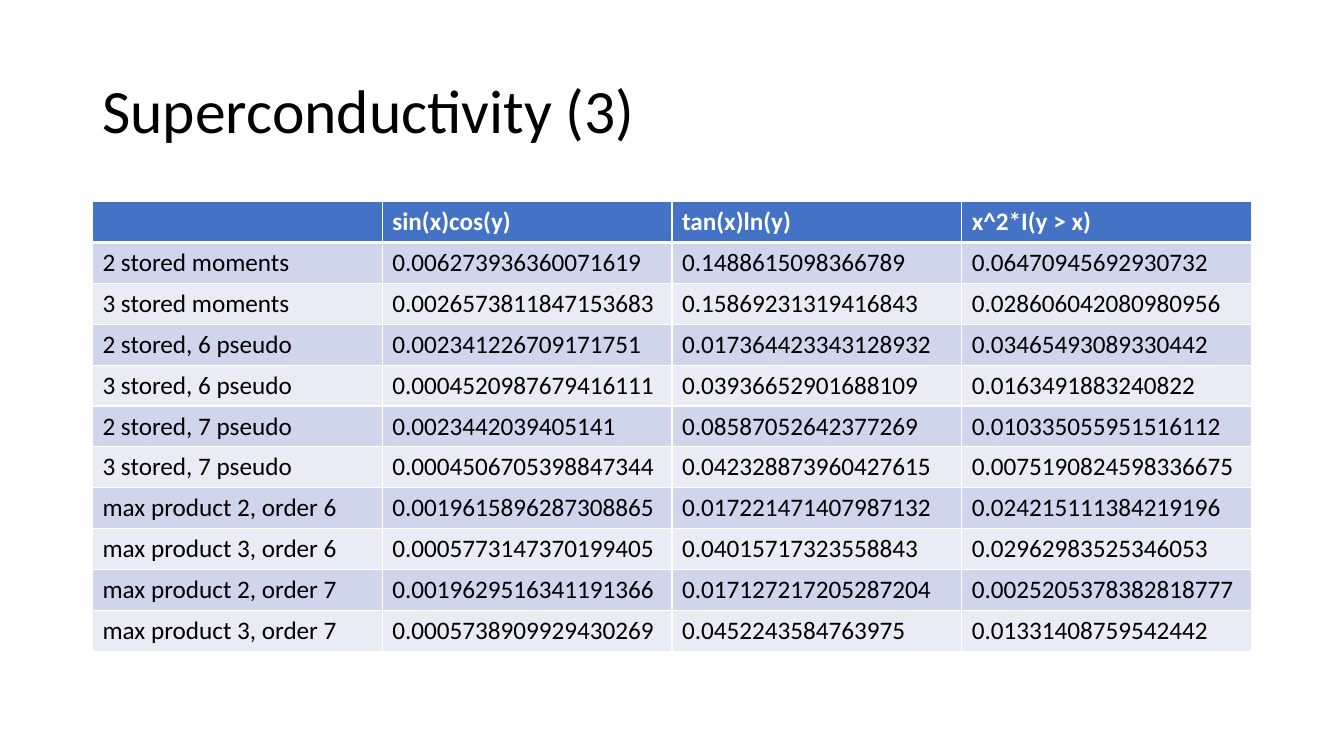
from pptx import Presentation
from pptx.dml.color import RGBColor
from pptx.enum.text import MSO_ANCHOR
from pptx.oxml import parse_xml
from pptx.oxml.ns import nsdecls
from pptx.util import Cm, Pt

COLORS = {
    "header": "4472C4",
    "odd": "CFD5EA",
    "even": "E9EBF5",
    "white": "FFFFFF",
    "black": "000000",
}
FONT = "Calibri"
ROWS = [
    ("", "sin(x)cos(y)", "tan(x)ln(y)", "x^2*I(y > x)"),
    ("2 stored moments", "0.006273936360071619", "0.1488615098366789", "0.06470945692930732"),
    ("3 stored moments", "0.0026573811847153683", "0.15869231319416843", "0.028606042080980956"),
    ("2 stored, 6 pseudo", "0.002341226709171751", "0.017364423343128932", "0.03465493089330442"),
    ("3 stored, 6 pseudo", "0.0004520987679416111", "0.03936652901688109", "0.0163491883240822"),
    ("2 stored, 7 pseudo", "0.0023442039405141", "0.08587052642377269", "0.010335055951516112"),
    ("3 stored, 7 pseudo", "0.0004506705398847344", "0.042328873960427615", "0.0075190824598336675"),
    ("max product 2, order 6", "0.0019615896287308865", "0.017221471407987132", "0.024215111384219196"),
    ("max product 3, order 6", "0.0005773147370199405", "0.04015717323558843", "0.02962983525346053"),
    ("max product 2, order 7", "0.0019629516341191366", "0.017127217205287204", "0.0025205378382818777"),
    ("max product 3, order 7", "0.0005738909929430269", "0.0452243584763975", "0.01331408759542442"),
]


def style_text(p, size, color, bold=False):
    for r in p.runs:
        r.font.name = FONT
        r.font.size = Pt(size)
        r.font.bold = bold
        r.font.color.rgb = RGBColor.from_string(COLORS[color])


def add_border(cell, side, width):
    cell._tc.get_or_add_tcPr().append(parse_xml(
        f'<a:ln{side} {nsdecls("a")} w="{Pt(width)}"><a:solidFill>'
        f'<a:srgbClr val="{COLORS["white"]}"/></a:solidFill></a:ln{side}>'
    ))


prs = Presentation()
prs.slide_width = Cm(33.87)
prs.slide_height = Cm(19.05)
s = prs.slides.add_slide(prs.slide_layouts[6])

title = s.shapes.add_textbox(Cm(2.33), Cm(1.01), Cm(29.21), Cm(3.68))
tf = title.text_frame
tf.word_wrap = True
tf.vertical_anchor = MSO_ANCHOR.MIDDLE
p = tf.paragraphs[0]
p.text = "Superconductivity (3)"
p.line_spacing = 0.9
style_text(p, 44, "black")

frame = s.shapes.add_table(len(ROWS), len(ROWS[0]), Cm(2.33), Cm(5.08), Cm(29.21), Cm(11.33))
table = frame.table
for row in table.rows:
    row.height = Cm(1.03)

for i, values in enumerate(ROWS):
    is_header = i == 0
    fill = "header" if is_header else "odd" if i % 2 else "even"
    for j, value in enumerate(values):
        cell = table.cell(i, j)
        cell.text_frame.text = value
        style_text(cell.text_frame.paragraphs[0], 18, "white" if is_header else "black", is_header)
        add_border(cell, "L", 1)
        add_border(cell, "R", 1)
        add_border(cell, "T", 3 if i == 1 else 1)
        add_border(cell, "B", 3 if is_header else 1)
        cell.fill.solid()
        cell.fill.fore_color.rgb = RGBColor.from_string(COLORS[fill])

prs.save("out.pptx")
